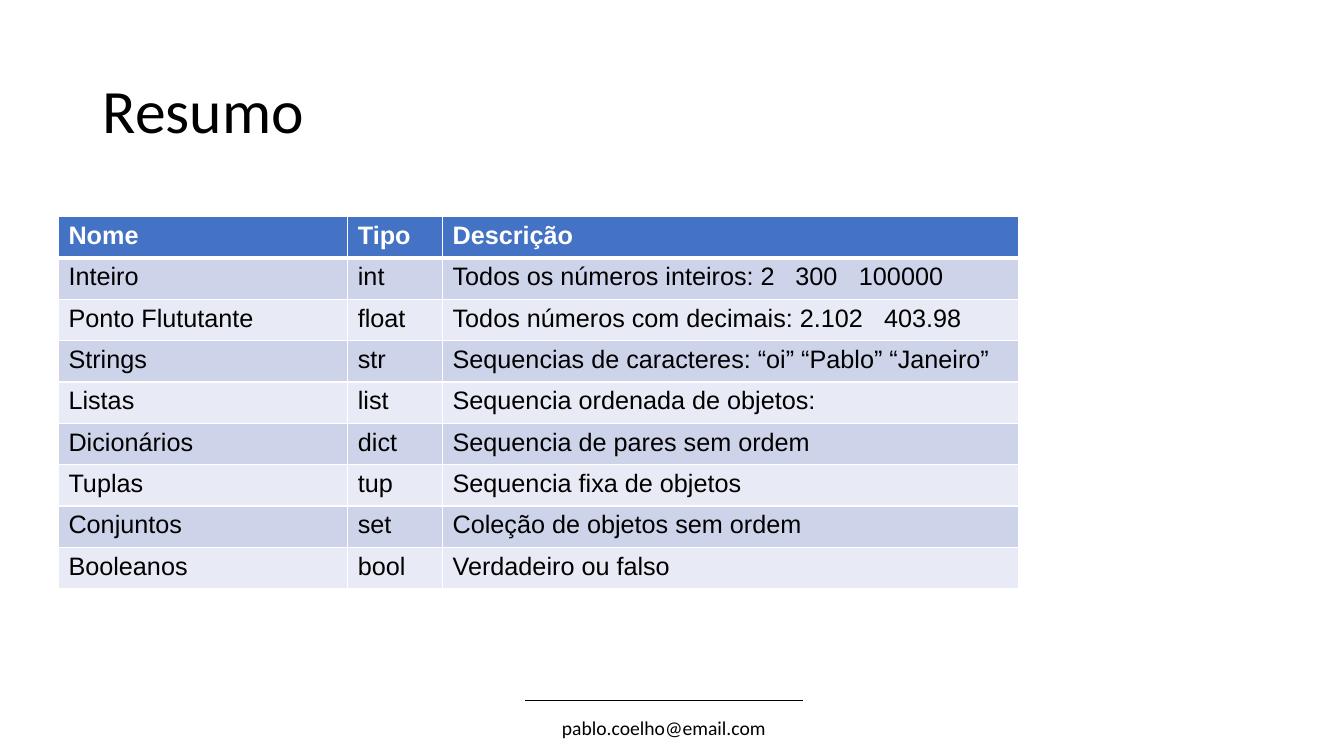
from lxml.etree import SubElement
from pptx import Presentation
from pptx.dml.color import RGBColor
from pptx.enum.shapes import MSO_CONNECTOR
from pptx.enum.text import MSO_ANCHOR, PP_ALIGN
from pptx.oxml.ns import qn
from pptx.util import Inches, Pt

COLORS = {
    "text": "000000",
    "white": "FFFFFF",
    "header": "4472C4",
    "odd": "CDD4EA",
    "even": "E8EBF5",
}
ROWS = [
    ("Nome", "Tipo", "Descrição"),
    ("Inteiro", "int", "Todos os números inteiros: 2\t300\t100000"),
    ("Ponto Flututante", "float", "Todos números com decimais: 2.102\t403.98"),
    ("Strings", "str", "Sequencias de caracteres: “oi” “Pablo” “Janeiro”"),
    ("Listas", "list", "Sequencia ordenada de objetos:"),
    ("Dicionários", "dict", "Sequencia de pares sem ordem"),
    ("Tuplas", "tup", "Sequencia fixa de objetos"),
    ("Conjuntos", "set", "Coleção de objetos sem ordem"),
    ("Booleanos", "bool", "Verdadeiro ou falso"),
]
COLUMN_WIDTHS = [2.87, 0.94, 5.71]
ROW_HEIGHT = 0.41
TAB_STOPS = {1: [3.4, 4.03], 2: [4.28]}


def add_span(para, text, font, size, color, bold=False):
    span = para.add_run()
    span.text = text
    span.font.name = font
    span.font.size = Pt(size)
    span.font.bold = bold
    span.font.color.rgb = RGBColor.from_string(COLORS[color])


def add_border(cell, side, width):
    line = SubElement(cell._tc.get_or_add_tcPr(), qn(f"a:ln{side}"), w=str(Pt(width)))
    fill = SubElement(line, qn("a:solidFill"))
    SubElement(fill, qn("a:srgbClr"), val=COLORS["white"])


deck = Presentation()
deck.slide_width = Inches(13.33)
deck.slide_height = Inches(7.5)
page = deck.slides.add_slide(deck.slide_layouts[5])

footer_left, footer_width = Inches(5.21), Inches(2.75)
rule = page.shapes.add_connector(
    MSO_CONNECTOR.STRAIGHT,
    footer_left, Inches(6.95), footer_left + footer_width, Inches(6.95),
)
rule.line.color.rgb = RGBColor.from_string(COLORS["text"])
rule.line.width = Pt(0.75)
SubElement(rule._element.spPr, qn("a:effectLst"))

contact = page.shapes.add_textbox(footer_left, Inches(7.05), footer_width, Inches(0.34))
contact.text_frame.word_wrap = True
para = contact.text_frame.paragraphs[0]
para.alignment = PP_ALIGN.CENTER
add_span(para, "pablo.coelho@email.com", "Calibri", 14, "text")

title = page.shapes.title
title.left, title.top = Inches(0.92), Inches(0.4)
title.width, title.height = Inches(11.5), Inches(1.45)
title.text_frame.vertical_anchor = MSO_ANCHOR.MIDDLE
para = title.text_frame.paragraphs[0]
para.alignment = PP_ALIGN.LEFT
para.line_spacing = 0.9
add_span(para, "Resumo", "Calibri", 44, "text")

table = page.shapes.add_table(
    len(ROWS), len(COLUMN_WIDTHS), Inches(0.58), Inches(2.15),
    Inches(sum(COLUMN_WIDTHS)), Inches(ROW_HEIGHT * len(ROWS)),
).table
for column, width in zip(table.columns, COLUMN_WIDTHS):
    column.width = Inches(width)

for row_index, texts in enumerate(ROWS):
    table.rows[row_index].height = Inches(ROW_HEIGHT)
    is_header = row_index == 0
    shade = "header" if is_header else "odd" if row_index % 2 else "even"
    for column_index, text in enumerate(texts):
        cell = table.cell(row_index, column_index)
        for side in "LRTB":
            thick = (is_header and side == "B") or (row_index == 1 and side == "T")
            add_border(cell, side, 3 if thick else 1)
        cell.fill.solid()
        cell.fill.fore_color.rgb = RGBColor.from_string(COLORS[shade])
        para = cell.text_frame.paragraphs[0]
        if "\t" in text:
            tabs = SubElement(para._p.get_or_add_pPr(), qn("a:tabLst"))
            for stop in TAB_STOPS[row_index]:
                SubElement(tabs, qn("a:tab"), pos=str(Inches(stop)), algn="l")
        add_span(para, text, "Arial", 18, "white" if is_header else "text", is_header)

deck.save("out.pptx")
